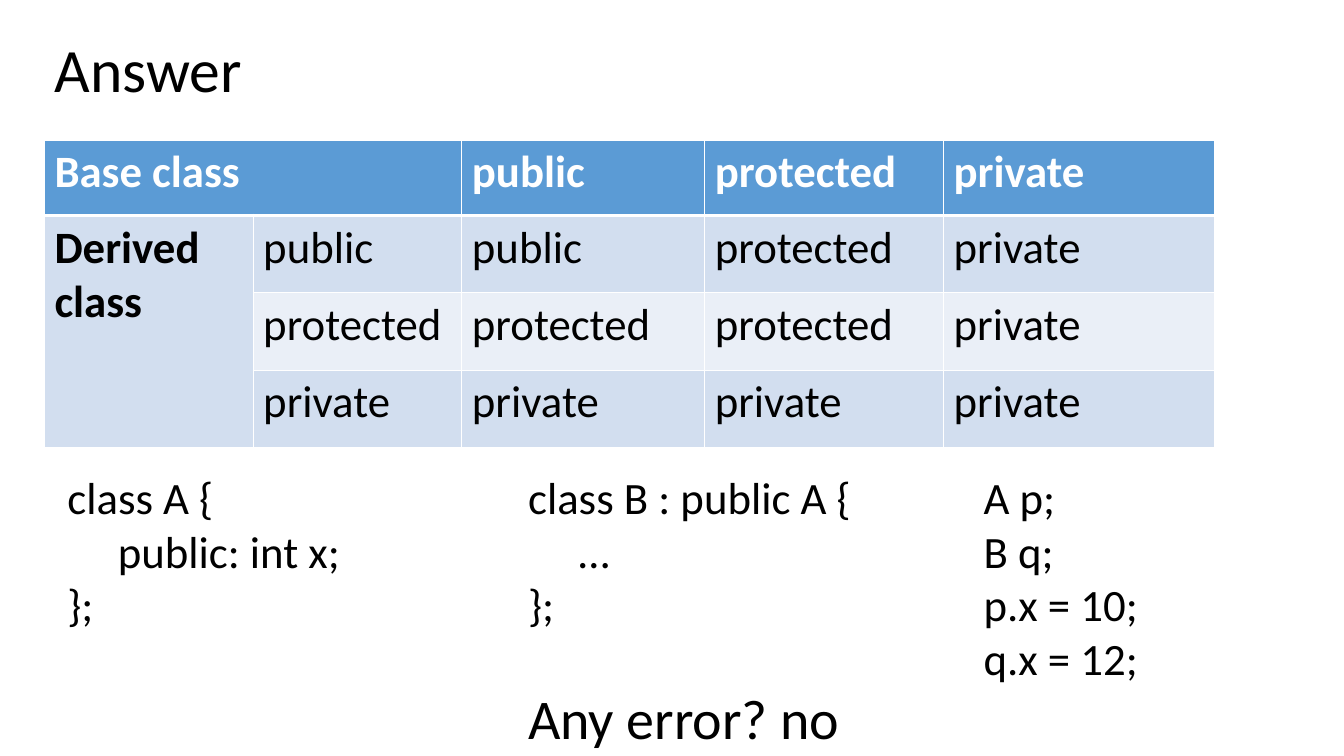
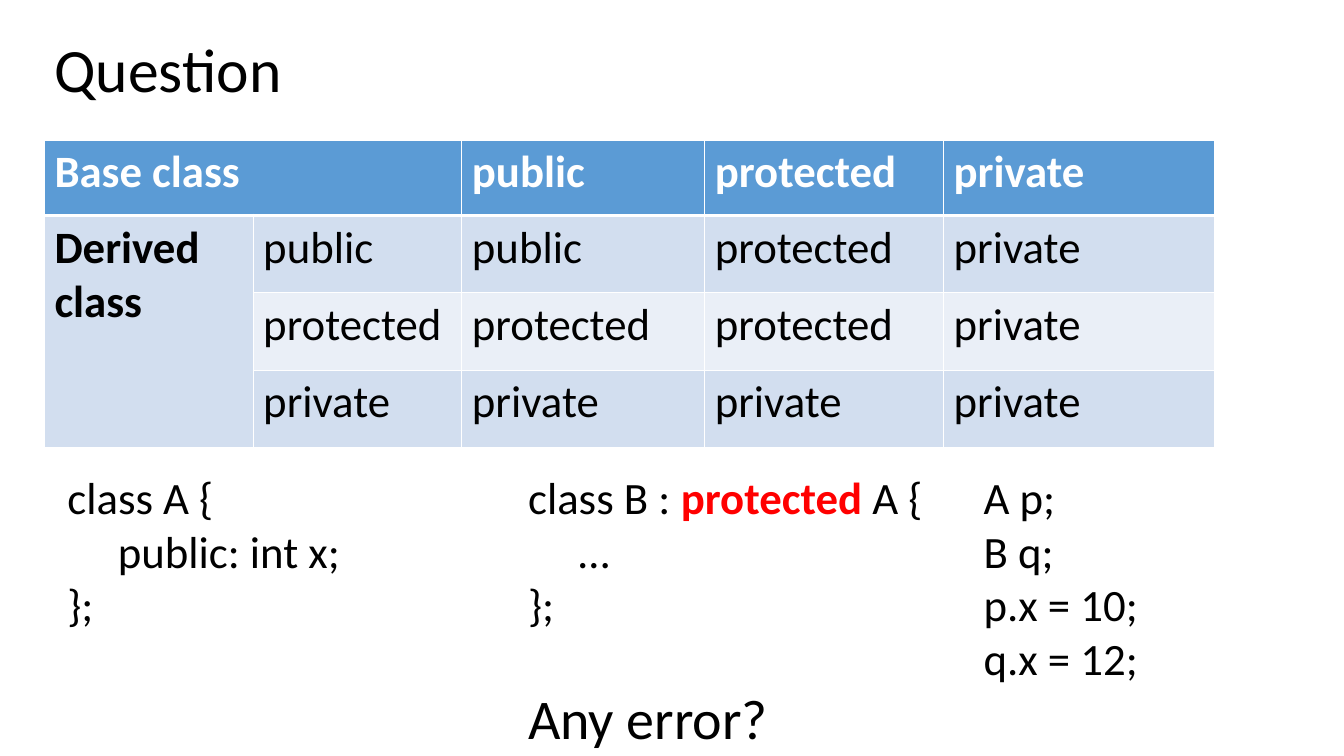
from lxml import etree
from pptx import Presentation
from pptx.dml.color import RGBColor
from pptx.enum import text as txt
from pptx.oxml import ns
from pptx.util import Cm, Pt

BLACK = RGBColor(0, 0, 0)
WHITE = RGBColor(255, 255, 255)
RED = RGBColor(255, 0, 0)
BLUE = RGBColor(0x5B, 0x9B, 0xD5)
MID = RGBColor(0xD2, 0xDE, 0xEF)
PALE = RGBColor(0xEA, 0xEF, 0xF7)
FACE = "Calibri"
RANKS = ["public", "protected", "private"]
COLS = [5.26, 5.26, 6.12, 6.02, 6.83]
ROWS = [1.9, 1.95, 1.95, 1.95]
TOP = 11.71
LINE = 1.37
PAD = 0.26
LEFT, MIDDLE, RIGHT = 1.45, 13.06, 24.54
BASE = ["class A {", "\tpublic: int x;", "};"]
USE = ["A p;", "B q;", "p.x = 10;", "q.x = 12;"]


def style(font, size, color=BLACK, bold=False):
    """Set face, size, colour and weight of a font."""
    font.name, font.size, font.bold = FACE, Pt(size), bold
    font.color.rgb = color


def put_title(slide, box, words):
    """Place the title in its box."""
    title = slide.shapes.title
    title.left, title.top, title.width, title.height = map(Cm, box)
    frame = title.text_frame
    frame.text = words
    frame.vertical_anchor = txt.MSO_ANCHOR.MIDDLE
    para = frame.paragraphs[0]
    para.alignment = txt.PP_ALIGN.LEFT
    para.line_spacing = 0.9
    style(para.runs[0].font, 44)


def put_text(slide, box, lines, size=32):
    """Place lines of text, with parts between bars in bold red."""
    shape = slide.shapes.add_textbox(*map(Cm, box))
    frame = shape.text_frame
    frame.word_wrap = False
    frame.auto_size = txt.MSO_AUTO_SIZE.SHAPE_TO_FIT_TEXT
    for row, line in enumerate(lines):
        para = frame.add_paragraph() if row else frame.paragraphs[0]
        for spot, part in enumerate(line.split("|")):
            run = para.add_run()
            run.text = part
            mark = spot % 2 == 1
            style(run.font, size, RED if mark else BLACK, mark)


def edge(cell, side, width):
    """Draw one white border of a cell."""
    props = cell._tc.get_or_add_tcPr()
    line = etree.SubElement(props, ns.qn("a:ln" + side), w=str(Pt(width)))
    fill = etree.SubElement(line, ns.qn("a:solidFill"))
    etree.SubElement(fill, ns.qn("a:srgbClr"), val=str(WHITE))


def put_grid(slide, left, top):
    """Place the table of access rules."""
    size = Cm(sum(COLS)), Cm(sum(ROWS))
    frame = slide.shapes.add_table(len(ROWS), len(COLS), Cm(left), Cm(top), *size)
    table = frame.table
    for col, width in zip(table.columns, COLS):
        col.width = Cm(width)
    for row, height in zip(table.rows, ROWS):
        row.height = Cm(height)
    words = [["Base class", ""] + RANKS]
    for kind, rank in enumerate(RANKS):
        head = "" if kind else "Derived\nclass"
        words.append([head, rank] + [RANKS[max(kind, n)] for n in range(len(RANKS))])
    for r, line in enumerate(words):
        for c, word in enumerate(line):
            cell = table.cell(r, c)
            for side in "LRTB":
                thick = (r, side) in [(0, "B"), (1, "T")]
                edge(cell, side, 3 if thick else 1)
            cell.fill.solid()
            cell.fill.fore_color.rgb = BLUE if r == 0 else MID if r % 2 or c == 0 else PALE
            cell.text = word
            for para in cell.text_frame.paragraphs:
                style(para.font, 32, BLACK if r else WHITE, r == 0 or c == 0)
                for run in para.runs:
                    style(run.font, 32, BLACK if r else WHITE, r == 0 or c == 0)
    table.cell(0, 0).merge(table.cell(0, 1))
    table.cell(1, 0).merge(table.cell(len(ROWS) - 1, 0))


def put_code(slide, left, width, lines):
    """Place one block of code under the table."""
    put_text(slide, (left, TOP, width, len(lines) * LINE + PAD), lines)


def add_page(deck, title, head, width, ask, span):
    """Add a slide with title, table, code and closing question."""
    slide = deck.slides.add_slide(deck.slide_layouts[5])
    put_title(slide, (1.12, 0, 29.21, 3.68), title)
    put_grid(slide, 1.12, 3.53)
    put_code(slide, LEFT, 8.81, BASE)
    put_code(slide, MIDDLE, width, [head, "\t…", "};"])
    put_code(slide, RIGHT, 4.55, USE)
    put_text(slide, (MIDDLE, 17.09, span, 1.96), [ask], 40)


def main():
    """Build and save the deck."""
    deck = Presentation()
    deck.slide_width, deck.slide_height = Cm(33.87), Cm(19.05)
    add_page(deck, "Answer", "class B : public A {", 8.74, "Any error? no", 8.43)
    add_page(deck, "Question", "class B : |protected| A {", 10.46, "Any error?", 6.63)
    deck.save("out.pptx")


if __name__ == "__main__":
    main()
